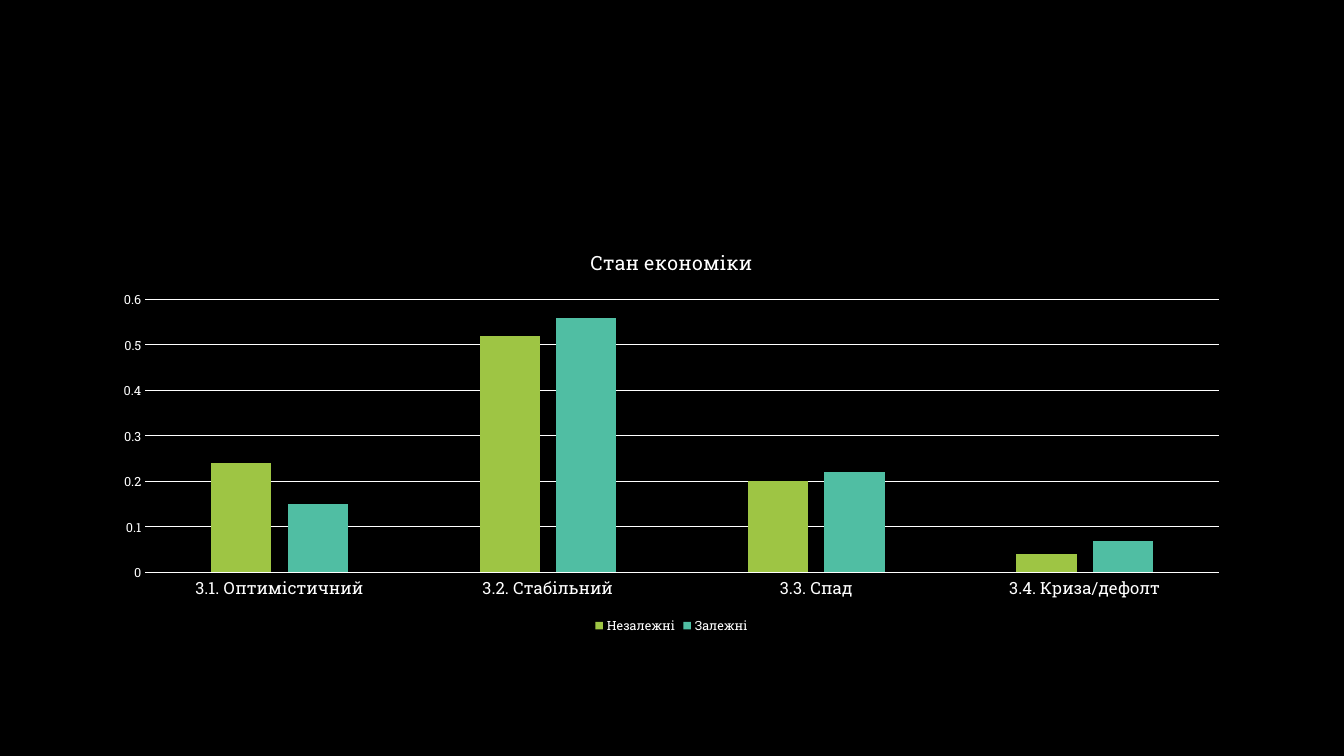
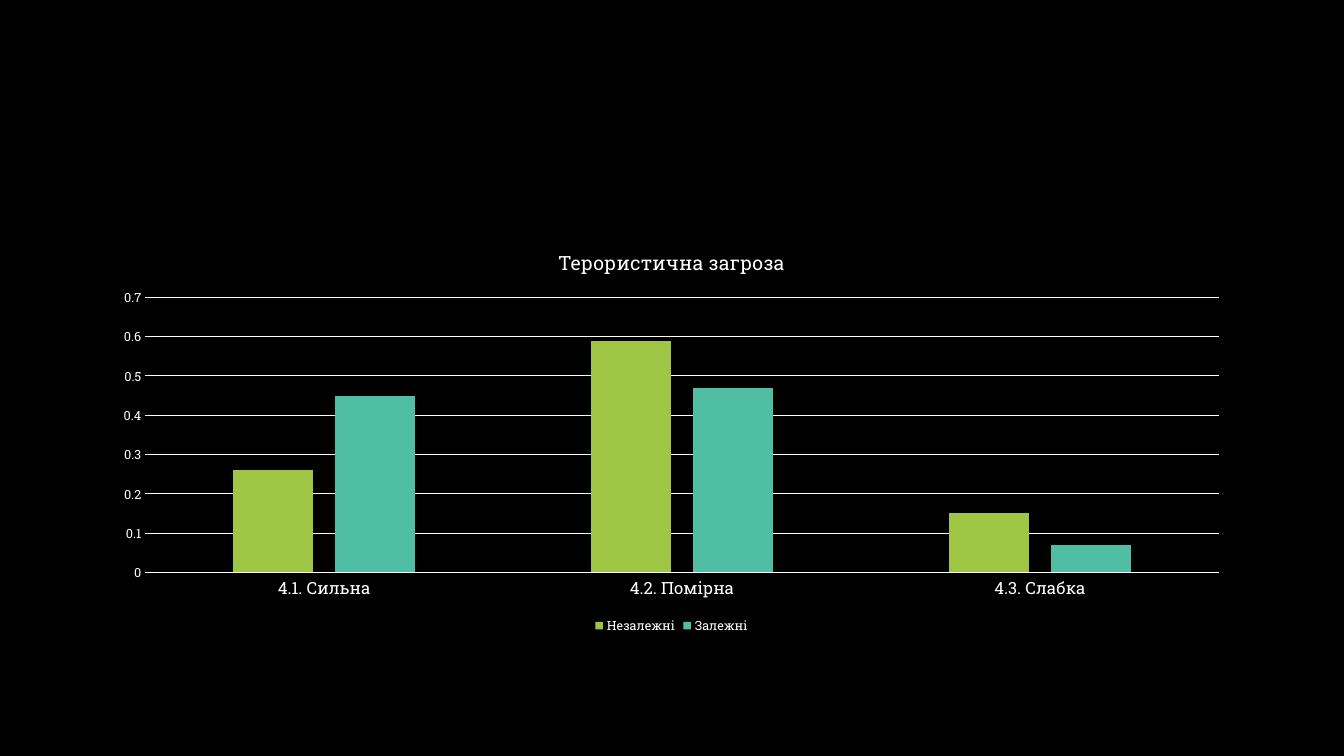
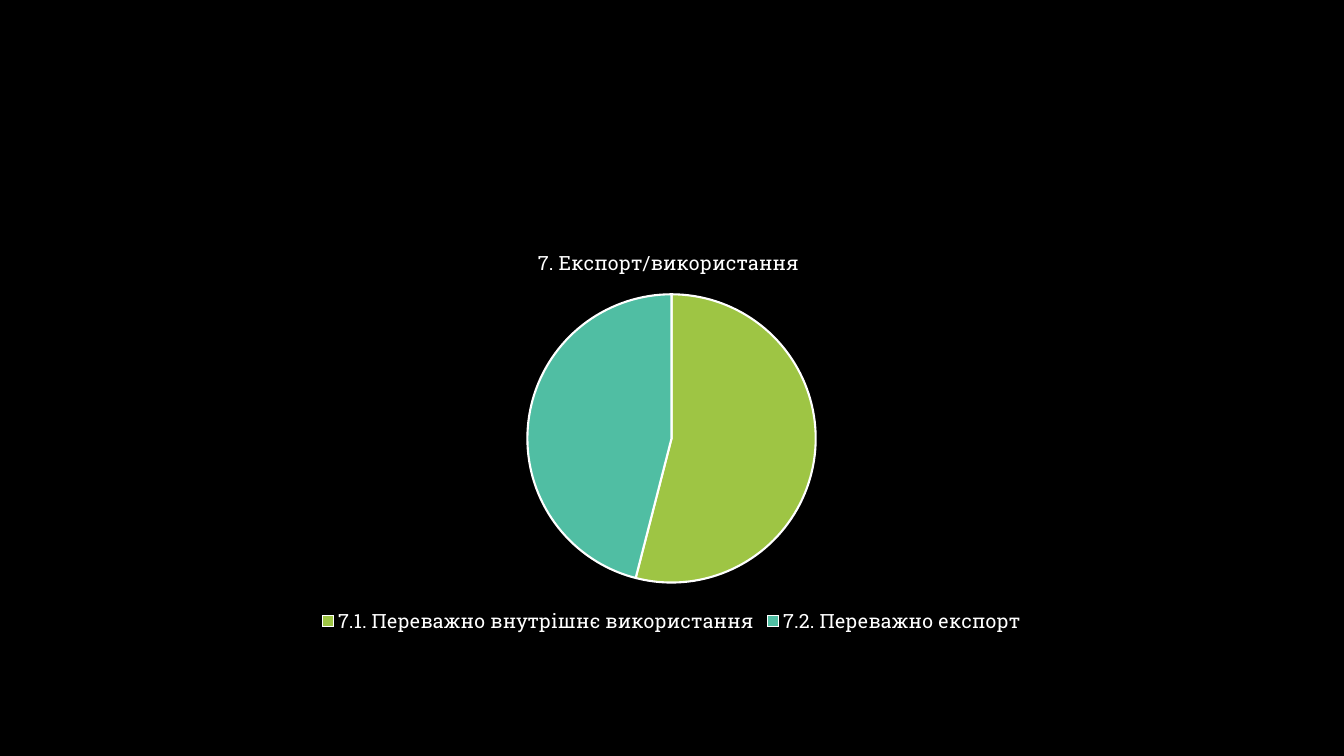
import pptx
import pptx.chart.data
import pptx.dml.color
import pptx.enum.chart
import pptx.oxml
import pptx.oxml.ns
import pptx.util

Inches = pptx.util.Inches
Pt = pptx.util.Pt
BLACK = pptx.dml.color.RGBColor(0x00, 0x00, 0x00)
WHITE = pptx.dml.color.RGBColor(0xFF, 0xFF, 0xFF)
LIME = pptx.dml.color.RGBColor(0x9E, 0xC5, 0x44)
TEAL = pptx.dml.color.RGBColor(0x50, 0xBE, 0xA3)
PALETTE = (LIME, TEAL)
FONT = "Roboto Slab"
CHART_TYPE = pptx.enum.chart.XL_CHART_TYPE
NO_TICK = pptx.enum.chart.XL_TICK_MARK.NONE

CHART_BOX = (1, 2.29, 11.32, 4.04)
TITLE_TOP = 2.42

COLUMN_SLIDES = [
    {
        "title": "Стан економіки",
        "title_left": 5.82,
        "plot": (1.44, 2.97, 10.65, 2.71),
        "maximum": 0.6,
        "categories": ["3.1. Оптимістичний", "3.2. Стабільний", "3.3. Спад", "3.4. Криза/дефолт"],
        "series": {"Незалежні": (0.24, 0.52, 0.2, 0.04), "Залежні": (0.15, 0.56, 0.22, 0.07)},
    },
    {
        "title": "Терористична загроза",
        "title_left": 5.5,
        "plot": (1.44, 2.95, 10.65, 2.73),
        "maximum": 0.7,
        "categories": ["4.1. Сильна", "4.2. Помірна", "4.3. Слабка"],
        "series": {"Незалежні": (0.26, 0.59, 0.15), "Залежні": (0.45, 0.47, 0.07)},
    },
]
PIE_SLIDE = {
    "title": "7. Експорт/використання",
    "title_left": 5.3,
    "plot": (5.23, 2.92, 2.86, 2.86),
    "categories": ["7.1. Переважно внутрішнє використання", "7.2. Переважно експорт"],
    "series": {"Series 1": (54, 46), "Series 2": (0,), "Series 3": (0,)},
}


def style_font(font, size, color=WHITE):
    font.name = FONT
    font.size = Pt(size)
    font.bold = False
    font.color.rgb = color


def write_text(frame, text, size=14, color=WHITE):
    span = frame.paragraphs[0].add_run()
    span.text = text
    style_font(span.font, size, color)


def style_line(line, width):
    line.color.rgb = WHITE
    line.width = Pt(width)


def place(element, position, left, top, width=None, height=None):
    for old in element.findall(pptx.oxml.ns.qn("c:layout")):
        element.remove(old)
    chart_left, chart_top, chart_width, chart_height = CHART_BOX
    parts = {"x": (left - chart_left) / chart_width, "y": (top - chart_top) / chart_height}
    modes = '<c:xMode val="edge"/><c:yMode val="edge"/>'
    if width:
        parts.update(w=width / chart_width, h=height / chart_height)
        modes = '<c:layoutTarget val="inner"/>' + modes
    values = "".join(f'<c:{name} val="{value:.4f}"/>' for name, value in parts.items())
    layout = pptx.oxml.parse_xml(
        f"<c:layout {pptx.oxml.ns.nsdecls('c')}><c:manualLayout>{modes}{values}</c:manualLayout></c:layout>"
    )
    element.insert(position, layout)


def add_chart_slide(deck, content, kind, legend_size):
    page = deck.slides.add_slide(deck.slide_layouts[6])
    data = pptx.chart.data.CategoryChartData()
    data.categories = content["categories"]
    for name, values in content["series"].items():
        data.add_series(name, values)
    chart = page.shapes.add_chart(kind, *map(Inches, CHART_BOX), data).chart
    if len(chart.plots[0].series) < len(data):
        chart.replace_data(data)
    style_font(chart.font, 10)
    chart.has_title = True
    write_text(chart.chart_title.text_frame, content["title"])
    chart.has_legend = True
    chart.legend.position = pptx.enum.chart.XL_LEGEND_POSITION.BOTTOM
    chart.legend.include_in_layout = False
    style_font(chart.legend.font, legend_size)
    body = chart.element.chart
    place(body.find(pptx.oxml.ns.qn("c:title")), 1, content["title_left"], TITLE_TOP)
    place(body.plotArea, 0, *content["plot"])
    return chart


def paint(shape_format, color):
    shape_format.fill.solid()
    shape_format.fill.fore_color.rgb = color


def add_column_slide(deck, content):
    chart = add_chart_slide(deck, content, CHART_TYPE.COLUMN_CLUSTERED, legend_size=9)
    plot = chart.plots[0]
    plot.gap_width = 219
    plot.overlap = -27
    plot.vary_by_categories = False
    for series, color in zip(plot.series, PALETTE):
        paint(series.format, color)
    for axis, size in ((chart.category_axis, 12), (chart.value_axis, 9)):
        axis.major_tick_mark = NO_TICK
        axis.minor_tick_mark = NO_TICK
        style_font(axis.tick_labels.font, size)
    style_line(chart.category_axis.format.line, 0.75)
    values = chart.value_axis
    values.minimum_scale = 0
    values.maximum_scale = content["maximum"]
    values.major_unit = 0.1
    values.tick_labels.number_format = "General"
    values.tick_labels.number_format_is_linked = False
    values.format.line.fill.background()
    values.has_major_gridlines = True
    style_line(values.major_gridlines.format.line, 0.75)


def add_pie_slide(deck, content):
    chart = add_chart_slide(deck, content, CHART_TYPE.PIE, legend_size=14)
    plot = chart.plots[0]
    plot.vary_by_categories = True
    for series in plot.series:
        for index, color in zip(range(len(series.values)), PALETTE):
            point = series.points[index]
            paint(point.format, color)
            style_line(point.format.line, 1.5)


def main():
    deck = pptx.Presentation()
    deck.slide_width = Inches(13.33)
    deck.slide_height = Inches(7.5)
    paint(deck.slide_master.background, BLACK)
    for content in COLUMN_SLIDES:
        add_column_slide(deck, content)
    add_pie_slide(deck, PIE_SLIDE)
    deck.save("out.pptx")


if __name__ == "__main__":
    main()
